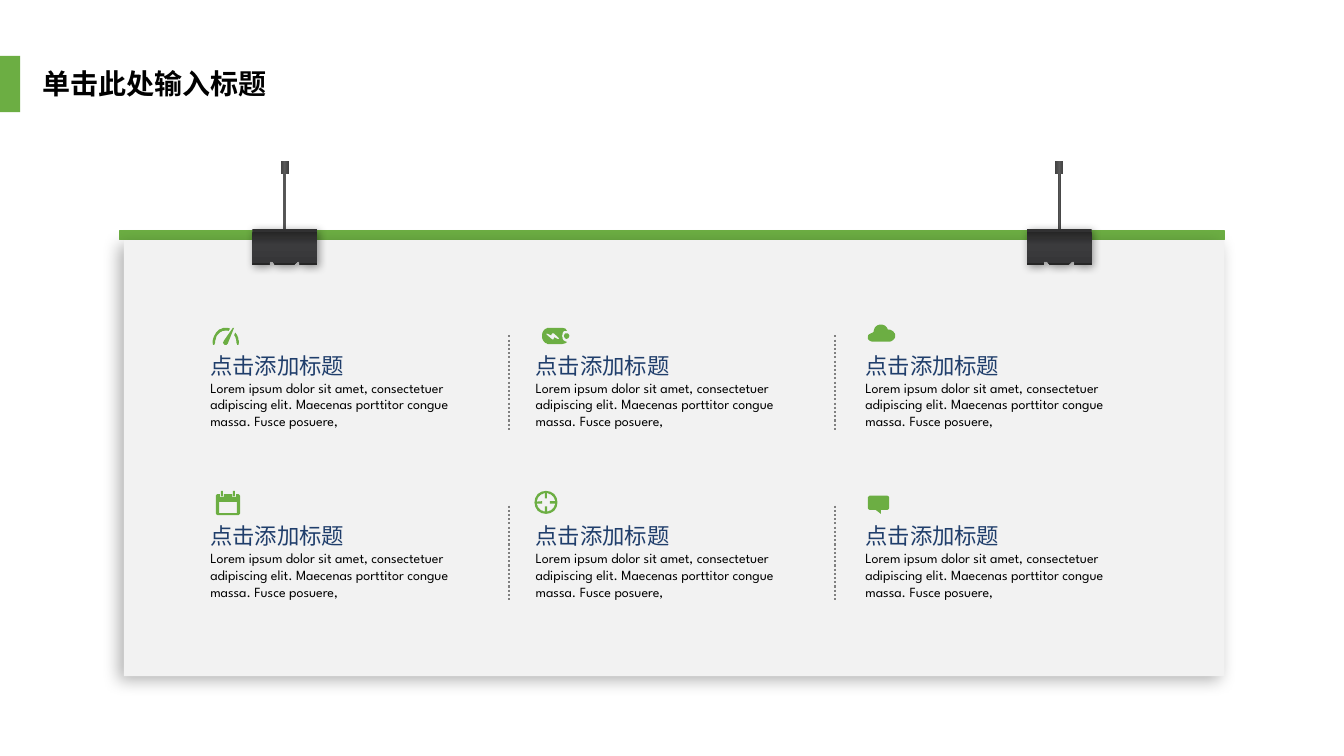
from math import cos, radians, sin

from pptx import Presentation
from pptx.dml.color import RGBColor
from pptx.enum.dml import MSO_LINE
from pptx.enum.shapes import MSO_CONNECTOR, MSO_SHAPE
from pptx.enum.text import MSO_ANCHOR, MSO_AUTO_SIZE, PP_ALIGN
from pptx.oxml import parse_xml
from pptx.oxml.ns import nsdecls, qn
from pptx.util import Cm, Pt

GREEN = RGBColor(0x6C, 0xAE, 0x43)
PANEL_GREY = RGBColor(0xF2, 0xF2, 0xF2)
DOT_GREY = RGBColor(0x80, 0x80, 0x80)
NAVY = RGBColor(0x20, 0x3E, 0x6B)
BLACK = RGBColor(0, 0, 0)
DARK, MID = RGBColor(0x40, 0x40, 0x40), RGBColor(0x59, 0x59, 0x59)
JAW_EDGE, JAW_SHADE = RGBColor(0x31, 0x31, 0x32), RGBColor(0x26, 0x26, 0x26)
JAW_LIGHT, JAW_LOW = RGBColor(0x3B, 0x3B, 0x3D), RGBColor(0x36, 0x36, 0x38)

STEEL = [(0, DARK), (50, MID), (100, DARK)]
JAW_METAL = [(7, JAW_EDGE), (7, JAW_SHADE), (46, JAW_LIGHT),
             (93, JAW_LOW), (93, JAW_SHADE)]

HEADING_FONT, BODY_FONT = "Noto Sans CJK SC", "League Spartan"
HEADING = "点击添加标题"
BODY = ("Lorem ipsum dolor sit amet, consectetuer adipiscing elit. "
        "Maecenas porttitor congue massa. Fusce posuere,")

COLUMNS = [5.05, 13.25, 21.56]
DIVIDERS = [12.83, 21.04]
ROW_PITCH = 4.29
CLIPS = [6.36, 25.88]


# Outline helpers; coordinates are hundredths of a centimetre
def arc(cx, cy, rx, ry, start, end, steps=16):
    angles = [radians(start + (end - start) * i / steps) for i in range(steps + 1)]
    return [(cx + rx * cos(a), cy + ry * sin(a)) for a in angles]


def box(left, top, right, bottom):
    return [(left, top), (right, top), (right, bottom), (left, bottom)]


def gauge():
    dial = arc(33, 41, 33, 38, 180, 290) + arc(33, 41, 27, 31, 285, 180)
    needle = [(28, 36), (26, 41), (30, 46), (35, 46), (38, 43), (54, 3), (51, 3)]
    tail = arc(33, 41, 33, 38, 317, 360) + [(65, 46), (62, 46)]
    return [dial + [(4, 46), (1, 46)], needle,
            tail + arc(33, 41, 27, 31, 360, 322)]


def battery():
    body = (arc(18, 20.5, 18, 20.5, 90, 270)
            + [(51, 0), (59, 2), (63, 8), (58, 8)]
            + arc(58, 20.5, 7, 13, 270, 90) + [(63, 36), (59, 39), (51, 41)])
    bolt = [(43, 28), (41, 29), (31, 24), (29, 29), (25, 29), (11, 17),
            (12, 14), (23, 19), (25, 14), (30, 14), (42, 25)]
    return [body, bolt, arc(62, 20.5, 7, 7, 0, 360)]


def cloud():
    return [arc(13, 32, 13, 11, 90, 260) + arc(33, 18, 18, 18, 180, 340)
            + arc(53, 28, 16, 15, 270, 450)]


def calendar():
    sheet = [(8, 8), (10, 8), (10, 15), (20, 15), (20, 8), (41, 8), (41, 15),
             (51, 15), (51, 8), (53, 8)]
    sheet += (arc(55, 14, 6, 6, 270, 360) + arc(55, 55, 6, 6, 0, 90)
              + arc(6, 55, 6, 6, 90, 180) + arc(6, 14, 6, 6, 180, 270))
    return [sheet, box(8, 28, 53, 56), box(13, 0, 18, 13), box(43, 0, 48, 13)]


def target():
    hole = []
    for turn in range(0, 360, 90):
        c, s = cos(radians(turn)), sin(radians(turn))
        hole += [(29 + r * c - side * s, 29 + r * s + side * c)
                 for r, side in [(23, -2.5), (10, -2.5), (10, 2.5), (23, 2.5)]]
        hole += arc(29, 29, 23, 23, turn + 7, turn + 83)
    return [arc(29, 29, 29, 29, 0, 360), hole]


def bubble():
    return [arc(7, 6, 7, 6, 180, 270) + arc(47, 6, 7, 6, 270, 360)
            + arc(47, 30, 7, 6, 0, 90) + [(33, 36), (33, 46), (20, 36)]
            + arc(7, 30, 7, 6, 90, 180)]


# Element builders
def set_fill(shape, color):
    shape.fill.solid()
    shape.fill.fore_color.rgb = color
    shape.line.fill.background()
    shape.shadow.inherit = False


def set_gradient(shape, stops, angle=0):
    shape.line.fill.background()
    shape.shadow.inherit = False
    shape.fill.gradient()
    shape.fill.gradient_angle = angle
    stop_list = shape._element.spPr.find(qn("a:gradFill")).find(qn("a:gsLst"))
    for old_stop in list(stop_list):
        stop_list.remove(old_stop)
    for position, color in stops:
        stop_list.append(parse_xml(
            f'<a:gs {nsdecls("a")} pos="{position * 1000}">'
            f'<a:srgbClr val="{color}"/></a:gs>'))


def cast_shadow(shape, opacity, blur, distance, direction):
    shape._element.spPr.find(qn("a:effectLst")).append(parse_xml(
        f'<a:outerShdw {nsdecls("a")} blurRad="{Pt(blur)}" dist="{Pt(distance)}" '
        f'dir="{direction * 60000}" algn="ctr" rotWithShape="0">'
        f'<a:srgbClr val="000000"><a:alpha val="{opacity * 1000}"/></a:srgbClr>'
        '</a:outerShdw>'))


def add_rect(shapes, left, top, width, height):
    return shapes.add_shape(MSO_SHAPE.RECTANGLE, Cm(left), Cm(top),
                            Cm(width), Cm(height))


def add_outline(shapes, left, top, contours):
    builder = None
    for first, *rest in contours:
        if builder is None:
            builder = shapes.build_freeform(*first, scale=Cm(0.01))
        else:
            builder.move_to(*first)
        builder.add_line_segments(rest, close=True)
    return builder.convert_to_shape(Cm(left), Cm(top))


def write(shape, text, *, size, font, color, bold=False, anchor=MSO_ANCHOR.TOP):
    frame = shape.text_frame
    frame.word_wrap = True
    frame.auto_size = MSO_AUTO_SIZE.SHAPE_TO_FIT_TEXT
    frame.vertical_anchor = anchor
    paragraph = frame.paragraphs[0]
    paragraph.alignment = PP_ALIGN.LEFT
    run = paragraph.add_run()
    run.text = text
    run.font.size, run.font.bold, run.font.name = Pt(size), bold, font
    run.font.color.rgb = color
    run.font._element.append(parse_xml(f'<a:ea {nsdecls("a")} typeface="{font}"/>'))


def add_clip(slide, left):
    clip = slide.shapes.add_group_shape().shapes
    set_gradient(add_rect(clip, left + 0.78, 4.27, 0.08, 1.63), STEEL)
    set_gradient(add_rect(clip, left + 0.71, 4.06, 0.21, 0.33), STEEL)
    jaw = add_outline(clip, left, 5.77, [[
        (0, 0), (163, 0), (163, 91), (120, 91), (120, 81), (114, 81),
        (104, 91), (58, 91), (51, 81), (43, 81), (43, 91), (0, 91)]])
    set_gradient(jaw, JAW_METAL, angle=270)
    cast_shadow(jaw, 40, 6, 2, 45)


def add_divider(slide, x, top):
    divider = slide.shapes.add_connector(MSO_CONNECTOR.STRAIGHT, Cm(x), Cm(top),
                                         Cm(x), Cm(top + 2.41))
    divider.line.color.rgb = DOT_GREY
    divider.line.width = Pt(1.5)
    divider.line.dash_style = MSO_LINE.ROUND_DOT
    divider._element.spPr.append(parse_xml(f'<a:effectLst {nsdecls("a")}/>'))


def add_item(slide, left, top):
    item = slide.shapes.add_group_shape().shapes
    heading = item.add_textbox(Cm(left), Cm(top), Cm(5.33), Cm(0.94))
    write(heading, HEADING, size=16, font=HEADING_FONT, color=NAVY)
    body = item.add_textbox(Cm(left), Cm(top + 0.69), Cm(7.42), Cm(1.55))
    write(body, BODY, size=10, font=BODY_FONT, color=BLACK)


def main():
    prs = Presentation()
    prs.slide_width, prs.slide_height = Cm(33.87), Cm(19.05)
    slide = prs.slides.add_slide(prs.slide_layouts[5])

    # Title and its marker
    title = slide.shapes.title
    title.left, title.top, title.width, title.height = Cm(0.81), Cm(1.55), Cm(7.44), Cm(1.12)
    write(title, "单击此处输入标题", size=20, font=HEADING_FONT, color=BLACK,
          bold=True, anchor=MSO_ANCHOR.MIDDLE)
    set_fill(add_rect(slide.shapes, 0, 1.41, 0.51, 1.42), GREEN)

    # Hanging board
    rail = add_rect(slide.shapes, 3.02, 5.82, 27.84, 0.22)
    set_fill(rail, GREEN)
    rail.line.color.rgb = GREEN
    rail.line.width = Pt(1)
    board = add_rect(slide.shapes, 3.12, 6.05, 27.74, 10.99)
    set_fill(board, PANEL_GREY)
    cast_shadow(board, 30, 12, 5, 135)
    for left in CLIPS:
        add_clip(slide, left)

    # Grid of items
    for row in range(2):
        for x in DIVIDERS:
            add_divider(slide, x, 8.45 + row * ROW_PITCH)
        for left in COLUMNS:
            add_item(slide, left, 8.74 + row * ROW_PITCH)

    # Icons
    for left, top, contours in [
            (5.36, 8.23, gauge()), (13.66, 8.26, battery()), (21.87, 8.18, cloud()),
            (5.44, 12.37, calendar()), (13.47, 12.37, target()), (21.87, 12.49, bubble())]:
        set_fill(add_outline(slide.shapes, left, top, contours), GREEN)

    prs.save("out.pptx")


if __name__ == "__main__":
    main()
